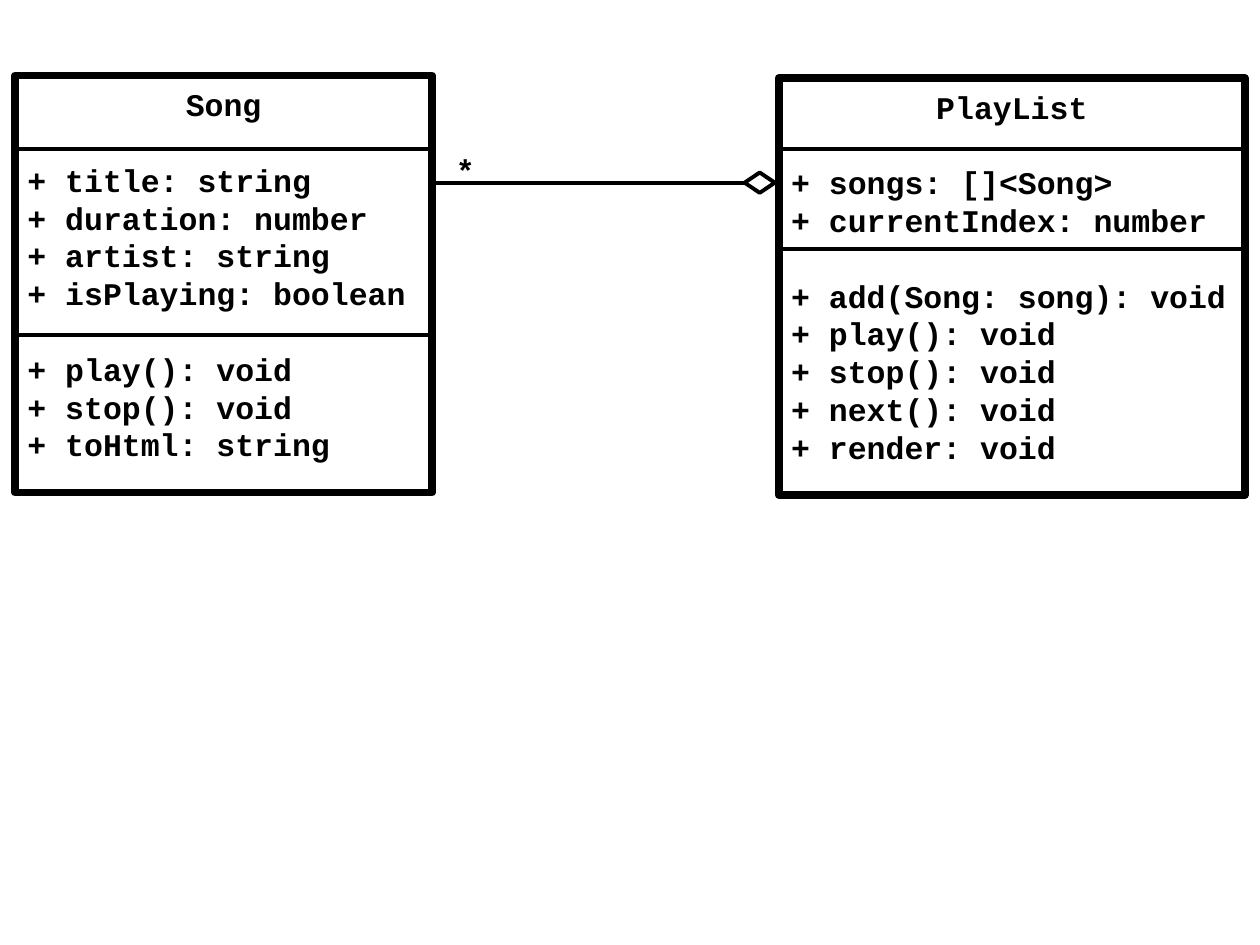
"""Draw a UML class diagram of songs aggregated by a playlist."""
from dataclasses import dataclass

from lxml.etree import SubElement
from pptx import Presentation
from pptx.dml.color import RGBColor
from pptx.enum.shapes import MSO_CONNECTOR, MSO_SHAPE
from pptx.enum.text import MSO_ANCHOR, PP_ALIGN
from pptx.oxml.ns import qn
from pptx.util import Pt

COLORS = {"ink": "000000"}
FONT_NAME = "Courier New"
FONT_SIZE = 18
LINE_PITCH = 21.6
BOX_HEIGHT = 238.3
BOX_LINE = 4.33
THIN_LINE = 2.25


@dataclass(frozen=True)
class ClassBox:
    name: str
    left: float
    top: float
    width: float
    dividers: tuple[float, ...]
    sections: tuple[tuple[str, ...], ...]


SONG = ClassBox(
    "Song", 8.6, 43.2, 238.3, (85, 191.5),
    (
        ("title: string", "duration: number", "artist: string", "isPlaying: boolean"),
        ("play(): void", "stop(): void", "toHtml: string"),
    ),
)
PLAYLIST = ClassBox(
    "PlayList", 445, 44.6, 266.4, (85, 142.5),
    (
        ("songs: []<Song>", "currentIndex: number"),
        ("add(Song: song): void", "play(): void", "stop(): void", "next(): void", "render: void"),
    ),
)


def style_line(line, width: float) -> None:
    line.color.rgb = RGBColor.from_string(COLORS["ink"])
    line.width = Pt(width)


def write_text(paragraph, text: str, *, align=PP_ALIGN.LEFT, space_before: float = 0) -> None:
    paragraph.alignment = align
    paragraph.line_spacing = Pt(LINE_PITCH)
    paragraph.space_before = Pt(space_before)
    run = paragraph.add_run()
    run.text = text
    run.font.name = FONT_NAME
    run.font.size = Pt(FONT_SIZE)
    run.font.bold = True
    run.font.color.rgb = RGBColor.from_string(COLORS["ink"])


def add_outline(shapes, preset, left: float, top: float, width: float, height: float, line_width: float):
    shape = shapes.add_shape(preset, Pt(left), Pt(top), Pt(width), Pt(height))
    shape.shadow.inherit = False
    shape.fill.background()
    style_line(shape.line, line_width)
    return shape


def add_line(shapes, start: tuple[float, float], end: tuple[float, float]):
    connector = shapes.add_connector(
        MSO_CONNECTOR.STRAIGHT, Pt(start[0]), Pt(start[1]), Pt(end[0]), Pt(end[1])
    )
    style_line(connector.line, THIN_LINE)
    SubElement(connector._element.spPr, qn("a:effectLst"))
    return connector


def draw_class(slide, box: ClassBox) -> None:
    shapes = slide.shapes.add_group_shape().shapes
    shape = add_outline(
        shapes, MSO_SHAPE.RECTANGLE, box.left, box.top, box.width, BOX_HEIGHT, BOX_LINE
    )
    frame = shape.text_frame
    frame.word_wrap = True
    frame.vertical_anchor = MSO_ANCHOR.TOP
    frame.margin_top = Pt(5.5)
    write_text(frame.paragraphs[0], box.name, align=PP_ALIGN.CENTER)
    for section in box.sections:
        for index, member in enumerate(section):
            gap = LINE_PITCH if index == 0 else 0
            write_text(frame.add_paragraph(), f"+ {member}", space_before=gap)
    for height in box.dividers:
        add_line(shapes, (box.left, height), (box.left + box.width, height))


def draw_aggregation(slide) -> None:
    left, top, width, height = 425.5, 98.6, 17.3, 11.6
    middle = top + height / 2
    diamond = add_outline(slide.shapes, MSO_SHAPE.DIAMOND, left, top, width, height, THIN_LINE)
    connector = add_line(slide.shapes, (left, middle), (SONG.left + SONG.width, middle))
    connector.begin_connect(diamond, 1)
    label = slide.shapes.add_textbox(Pt(253.4), Pt(82.8), Pt(23), Pt(28.8))
    label.text_frame.word_wrap = True
    write_text(label.text_frame.paragraphs[0], "*")


def main() -> None:
    presentation = Presentation()
    presentation.slide_width = Pt(720)
    presentation.slide_height = Pt(540)
    slide = presentation.slides.add_slide(presentation.slide_layouts[6])
    for box in (SONG, PLAYLIST):
        draw_class(slide, box)
    draw_aggregation(slide)
    presentation.save("out.pptx")


if __name__ == "__main__":
    main()
